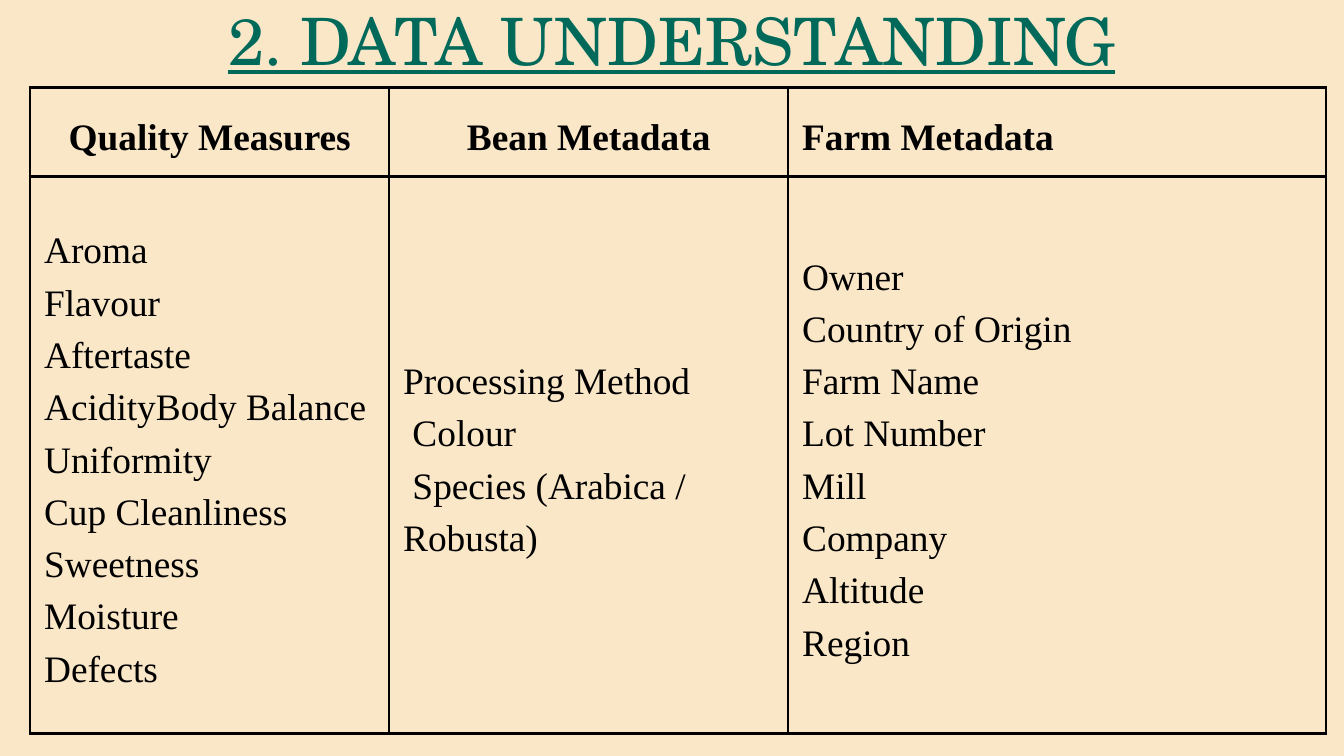
from lxml.etree import SubElement
from pptx import Presentation
from pptx.dml.color import RGBColor
from pptx.enum.text import MSO_ANCHOR as Anchor, MSO_AUTO_SIZE as AutoSize, PP_ALIGN as Align
from pptx.oxml.ns import qn
from pptx.util import Pt

PX = 9525  # EMU per px, 96 px to the inch
COLORS = {"paper": "F9E7C8", "title": "00695A", "ink": "000000"}
COLUMNS = [
    ("Quality Measures", 513, Align.CENTER, Align.LEFT,
     ["Aroma", "Flavour", "Aftertaste AcidityBody Balance", "Uniformity",
      "Cup Cleanliness", "Sweetness", "Moisture", "Defects"]),
    ("Bean Metadata", 570, Align.CENTER, Align.LEFT,
     ["Processing Method", " Colour", " Species (Arabica / Robusta)"]),
    ("Farm Metadata", 768, Align.LEFT, Align.JUSTIFY,
     ["Owner", "Country of Origin", "Farm Name", "Lot Number", "Mill",
      "Company", "Altitude", "Region"]),
]
ROW_HEIGHTS = [127, 796]
CELL_MARGIN = 20


def format_text(frame, font, size, color, align, spacing, bold=False, underline=False):
    for para in frame.paragraphs:
        para.alignment = align
        para.line_spacing = Pt(spacing)
        for span in para.runs:
            span.font.name = font
            span.font.size = Pt(size)
            span.font.bold = bold
            span.font.underline = underline
            span.font.color.rgb = RGBColor.from_string(COLORS[color])


def add_borders(cell, width):
    """Draw the four sides; they must precede the fill in tcPr."""
    props = cell._tc.get_or_add_tcPr()
    for place, side in enumerate(("lnL", "lnR", "lnT", "lnB")):
        line = SubElement(props, qn(f"a:{side}"), w=str(Pt(width)))
        fill = SubElement(line, qn("a:solidFill"))
        SubElement(fill, qn("a:srgbClr"), val=COLORS["ink"])
        props.insert(place, line)


deck = Presentation()
deck.slide_width, deck.slide_height = 1920 * PX, 1080 * PX
page = deck.slides.add_slide(deck.slide_layouts[5])
page.background.fill.solid()
page.background.fill.fore_color.rgb = RGBColor.from_string(COLORS["paper"])

# Table
widths = [column[1] for column in COLUMNS]
table = page.shapes.add_table(
    len(ROW_HEIGHTS), len(COLUMNS), 43 * PX, 125 * PX,
    sum(widths) * PX, sum(ROW_HEIGHTS) * PX).table
table.first_row = table.horz_banding = False
for row, height in zip(table.rows, ROW_HEIGHTS):
    row.height = height * PX

for col, (heading, width, heading_align, item_align, items) in enumerate(COLUMNS):
    table.columns[col].width = width * PX
    for row, (text, align) in enumerate([(heading, heading_align),
                                         ("\n".join(items), item_align)]):
        cell = table.cell(row, col)
        cell.text_frame.text = text
        format_text(cell.text_frame, "Times New Roman", 40, "ink", align, 56, bold=row == 0)
        cell.vertical_anchor = Anchor.MIDDLE
        cell.margin_left = cell.margin_right = CELL_MARGIN * PX
        cell.margin_top = cell.margin_bottom = CELL_MARGIN * PX
        cell.fill.background()
        add_borders(cell, 3)

# Title
title = page.shapes.title
title.left, title.top, title.width, title.height = 215 * PX, 0, 1489 * PX, 112 * PX
frame = title.text_frame
frame.text = "2. DATA UNDERSTANDING"
frame.word_wrap = True
frame.auto_size = AutoSize.SHAPE_TO_FIT_TEXT
frame.vertical_anchor = Anchor.TOP
frame.margin_left = frame.margin_right = frame.margin_top = frame.margin_bottom = 0
format_text(frame, "TeX Gyre Schola", 70, "title", Align.CENTER, 84, underline=True)

deck.save("out.pptx")
